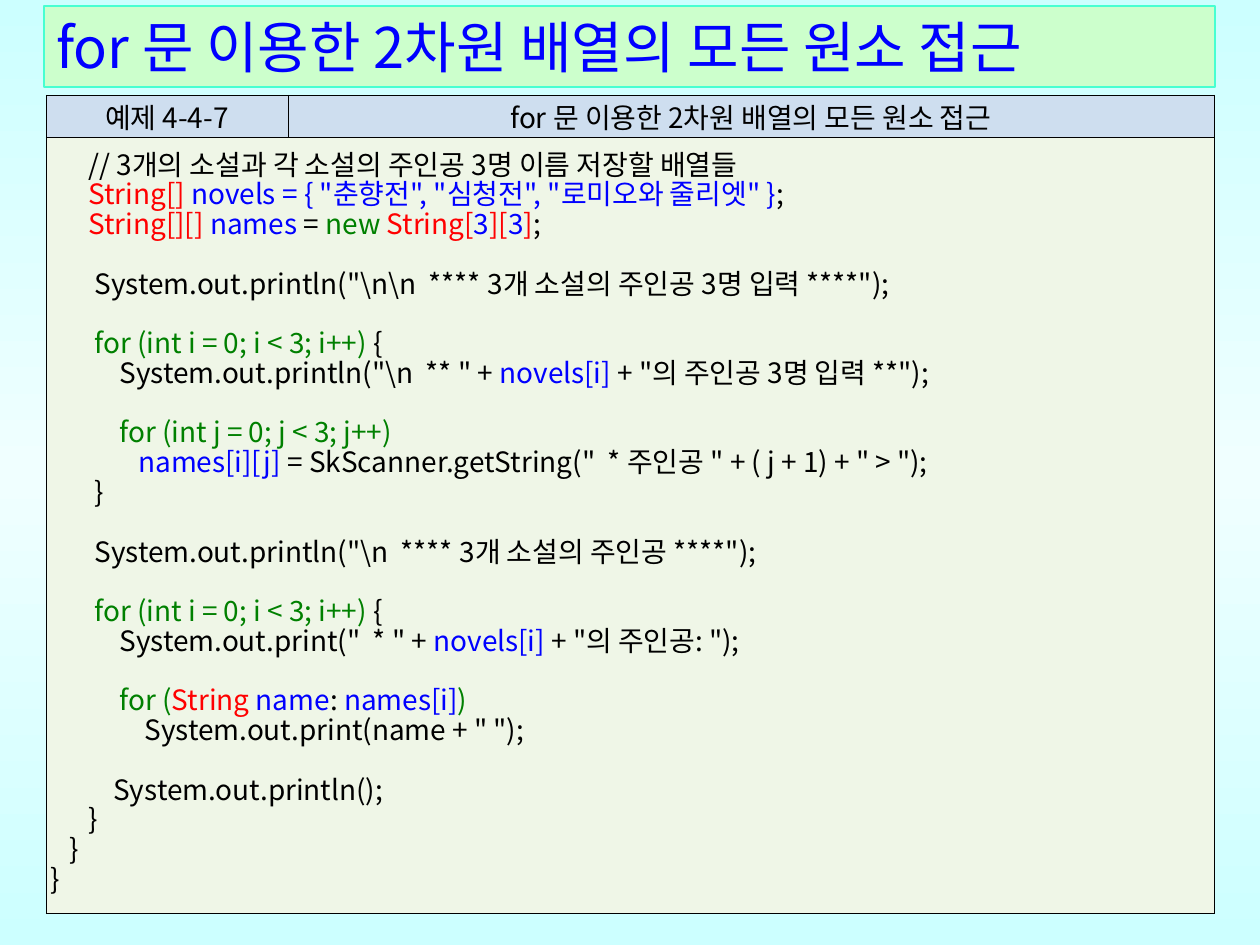
import lxml.etree
import pptx
import pptx.dml.color
import pptx.enum.shapes
import pptx.enum.text
import pptx.oxml
import pptx.oxml.ns
import pptx.util
from dataclasses import dataclass

PX = 914400 / 126


@dataclass(frozen=True)
class Theme:
    """Colours, font and type sizes of the slide."""
    font: str = "Noto Sans CJK KR"
    title_size: float = 32
    body_size: float = 16
    leading: float = 17
    border_width: float = 0.28
    ink: str = "000000"
    name: str = "0000FF"
    kind: str = "FF0000"
    keyword: str = "008000"
    edge: str = "CCFFFF"
    glow: str = "F0FFFF"
    title_fill: str = "CCFFCC"
    title_line: str = "47FFD1"
    header_fill: str = "CEDEEF"
    code_fill: str = "EFF6E7"


THEME = Theme()
INK, NAME, KIND, KEY = THEME.ink, THEME.name, THEME.kind, THEME.keyword
TITLE = "for 문 이용한 2차원 배열의 모든 원소 접근"
OUTER_LOOP = [(KEY, "       for (int i = 0; i < 3; i++) "), (INK, "{")]

CODE_BLOCKS = [
    [
        [(INK, "      // 3개의 소설과 각 소설의 주인공 3명 이름 저장할 배열들")],
        [(KIND, "      String[] "),
         (NAME, 'novels = { "춘향전", "심청전", "로미오와 줄리엣" }'), (INK, ";")],
        [(KIND, "      String[][] "), (NAME, "names "), (INK, "= "), (KEY, "new "),
         (KIND, "String["), (NAME, "3"), (KIND, "]["), (NAME, "3"), (KIND, "]"), (INK, ";")],
    ],
    [[(INK, r'       System.out.println("\n\n  **** 3개 소설의 주인공 3명 입력 ****");')]],
    [
        OUTER_LOOP,
        [(INK, r'           System.out.println("\n  ** " + '), (NAME, "novels[i] "),
         (INK, '+ "의 주인공 3명 입력 **");')],
    ],
    [
        [(KEY, "           for (int j = 0; j < 3; j++)")],
        [(NAME, "              names[i][j] "),
         (INK, '= SkScanner.getString("  * 주인공 " + ( j + 1) + " > ");')],
        [(INK, "       }")],
    ],
    [[(INK, r'       System.out.println("\n  **** 3개 소설의 주인공 ****");')]],
    [
        OUTER_LOOP,
        [(INK, '           System.out.print("  * " + '), (NAME, "novels[i] "),
         (INK, '+ "의 주인공: ");')],
    ],
    [
        [(KEY, "           for ("), (KIND, "String "), (NAME, "name"), (INK, ": "),
         (NAME, "names[i]"), (KEY, ")")],
        [(INK, '               System.out.print(name + " ");')],
    ],
    [
        [(INK, "          System.out.println();")],
        [(INK, "      }")],
        [(INK, "   }")],
        [(INK, "}")],
    ],
]


def px(length):
    """Turn pixels into EMU."""
    return pptx.util.Emu(round(length * PX))


def rgb(value):
    """Turn a hex string into a colour."""
    return pptx.dml.color.RGBColor.from_string(value)


def write_line(para, spans, size):
    """Write coloured spans into a paragraph of one font and size."""
    para.font.name = THEME.font
    para.font.size = pptx.util.Pt(size)
    east_asian = lxml.etree.SubElement(para.font._element, pptx.oxml.ns.qn("a:ea"))
    east_asian.set("typeface", THEME.font)
    for color, text in spans:
        span = para.add_run()
        span.text = text
        span.font.color.rgb = rgb(color)


def paint_background(page):
    """Fill the page with a vertical three-stop gradient."""
    fill = page.background.fill
    fill.gradient()
    fill.gradient_angle = 270
    stops = fill.gradient_stops._gsLst
    for stop in list(stops):
        stops.remove(stop)
    for position, color in ((0, THEME.edge), (50, THEME.glow), (100, THEME.edge)):
        stops.append(pptx.oxml.parse_xml(
            f'<a:gs {pptx.oxml.ns.nsdecls("a")} pos="{position * 1000}">'
            f'<a:srgbClr val="{color}"/></a:gs>'))


def add_title(page, left, top, width, height):
    """Place the title bar."""
    box = page.shapes.add_shape(
        pptx.enum.shapes.MSO_SHAPE.RECTANGLE, px(left), px(top), px(width), px(height))
    box.shadow.inherit = False
    box.fill.solid()
    box.fill.fore_color.rgb = rgb(THEME.title_fill)
    box.line.color.rgb = rgb(THEME.title_line)
    box.line.width = pptx.util.Pt(0.75)
    frame = box.text_frame
    frame.word_wrap = True
    frame.vertical_anchor = pptx.enum.text.MSO_ANCHOR.MIDDLE
    para = frame.paragraphs[0]
    para.alignment = pptx.enum.text.PP_ALIGN.LEFT
    write_line(para, [(NAME, TITLE)], THEME.title_size)


def style_cell(cell, color):
    """Give a cell its margins, borders and fill."""
    cell.margin_left = cell.margin_right = px(5)
    cell.margin_top = cell.margin_bottom = px(1)
    cell.vertical_anchor = pptx.enum.text.MSO_ANCHOR.MIDDLE
    properties = cell._tc.get_or_add_tcPr()
    for side in ("lnL", "lnR", "lnT", "lnB"):
        properties.append(pptx.oxml.parse_xml(
            f'<a:{side} {pptx.oxml.ns.nsdecls("a")} w="{pptx.util.Pt(THEME.border_width)}">'
            f'<a:solidFill><a:srgbClr val="{THEME.ink}"/></a:solidFill></a:{side}>'))
    cell.fill.solid()
    cell.fill.fore_color.rgb = rgb(color)


def write_code(frame):
    """Write the code blocks with one empty line's space between them."""
    leading = pptx.util.Pt(THEME.leading)
    para = frame.paragraphs[0]
    for block_index, block in enumerate(CODE_BLOCKS):
        for line_index, spans in enumerate(block):
            if block_index or line_index:
                para = frame.add_paragraph()
            para.line_spacing = leading
            if block_index and line_index == 0:
                para.space_before = leading
            write_line(para, spans, THEME.body_size)


def add_example(page, left, top, width, height):
    """Place the example table: a header row above one merged code cell."""
    label_width, header_height = 242, 39
    table = page.shapes.add_table(
        2, 2, px(left), px(top), px(width), px(height)).table
    table.horz_banding = False
    table.first_row = False
    table.columns[0].width = px(label_width)
    table.columns[1].width = px(width - label_width)
    table.rows[0].height = px(header_height)
    table.rows[1].height = px(height - header_height)
    table.cell(1, 0).merge(table.cell(1, 1))
    for row, color in enumerate((THEME.header_fill, THEME.code_fill)):
        for column in range(2):
            style_cell(table.cell(row, column), color)
    for column, text in enumerate(("예제 4-4-7", TITLE)):
        para = table.cell(0, column).text_frame.paragraphs[0]
        para.alignment = pptx.enum.text.PP_ALIGN.CENTER
        write_line(para, [(INK, text)], THEME.body_size)
    write_code(table.cell(1, 0).text_frame)


def main():
    """Build and save the deck."""
    deck = pptx.Presentation()
    deck.slide_width, deck.slide_height = px(1260), px(945)
    page = deck.slides.add_slide(deck.slide_layouts[6])
    paint_background(page)
    add_title(page, 44, 6, 1171, 81)
    add_example(page, 46, 95, 1168, 815)
    deck.save("out.pptx")


if __name__ == "__main__":
    main()
